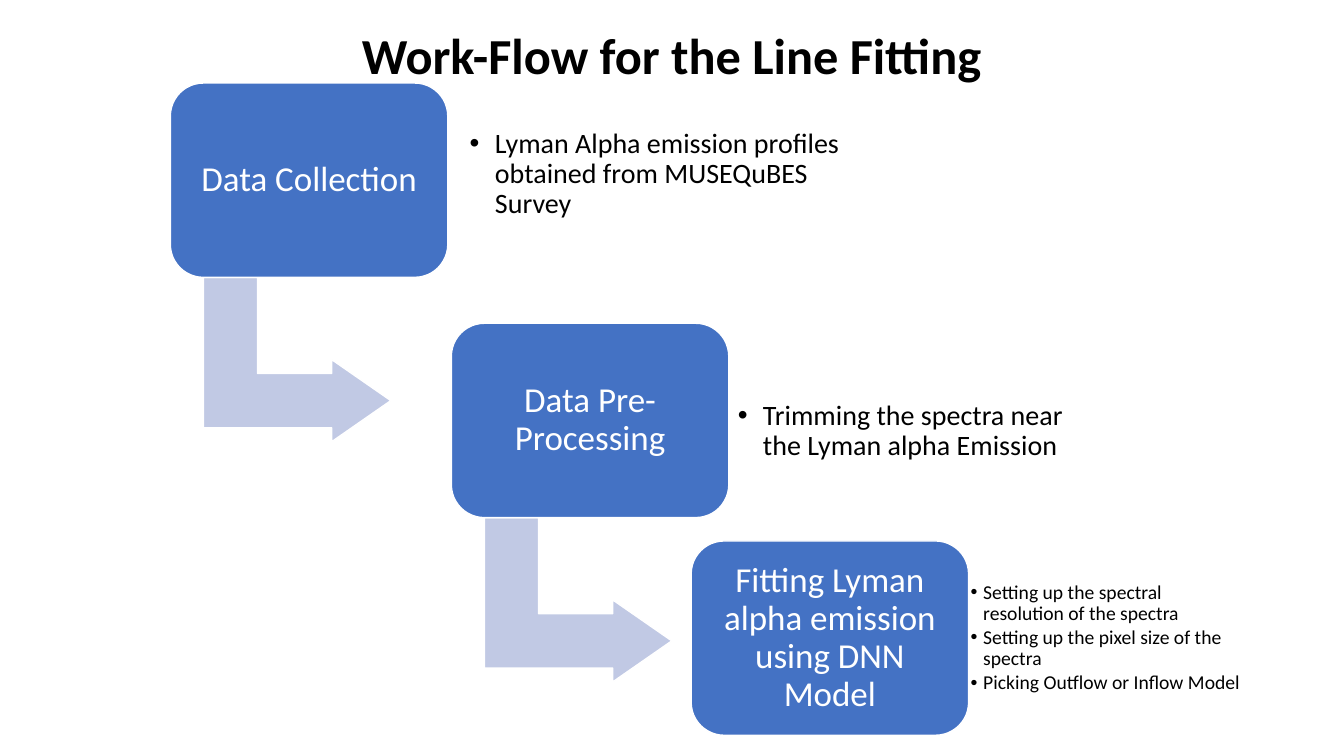
from pptx import Presentation
from pptx.dml.color import RGBColor
from pptx.enum import shapes, text
from pptx.oxml import xmlchemy
from pptx.util import Pt

BLUE = RGBColor(0x44, 0x72, 0xC4)
LAVENDER = RGBColor(0xC1, 0xC9, 0xE4)
WHITE = RGBColor(0xFF, 0xFF, 0xFF)
BLACK = RGBColor(0, 0, 0)
FONT = "Calibri"

TITLE = "Work-Flow for the Line Fitting"
STEPS = [
    dict(name="Data Collection", corner=(121.7, 59.3),
         notes=["Lyman Alpha emission profiles obtained from MUSEQuBES Survey"],
         notes_area=(328.3, 68.4, 291.6, 112.3), size=20, indent=18, inset=7.2),
    dict(name="Data Pre-Processing", corner=(322.4, 230.9),
         notes=["Trimming the spectra near the Lyman alpha Emission"],
         notes_area=(519.8, 252, 270, 112.3), size=20, indent=18, inset=7.2),
    dict(name="Fitting Lyman alpha emission using DNN Model", corner=(493.7, 386.4),
         notes=["Setting up the spectral resolution of the spectra",
                "Setting up the pixel size of the spectra",
                "Picking Outflow or Inflow Model"],
         notes_area=(688.3, 399.6, 206.6, 112.3), size=14, indent=9, inset=5),
]
BOX_SIZE = (198.2, 138.8)
ARROW_OFFSET = (31.8, 130.6)
ARROW_SIZE = (117.4, 133.9)


def place(shape, left, top, width, height):
    shape.left, shape.top = Pt(left), Pt(top)
    shape.width, shape.height = Pt(width), Pt(height)


def set_frame(shape, inset):
    frame = shape.text_frame
    frame.word_wrap = True
    frame.auto_size = text.MSO_AUTO_SIZE.NONE
    frame.vertical_anchor = text.MSO_ANCHOR.MIDDLE
    frame.margin_left = frame.margin_right = Pt(inset)
    frame.margin_top = frame.margin_bottom = Pt(inset)
    return frame


def style(para, size, color, align, bold=False, spacing=0.9):
    para.alignment = align
    para.line_spacing = spacing
    para.space_before = Pt(0)
    para.font.name = FONT
    para.font.size = Pt(size)
    para.font.bold = bold
    para.font.color.rgb = color


def add_bullet(para, indent):
    props = para._p.get_or_add_pPr()
    props.set("marL", str(Pt(indent)))
    props.set("indent", str(-Pt(indent)))
    bullet = xmlchemy.OxmlElement("a:buChar")
    bullet.set("char", "•")
    props.insert_element_before(bullet, "a:tabLst", "a:defRPr", "a:extLst")


def add_block(page, kind, corner, size, color, adjustments):
    block = page.shapes.add_shape(kind, *(Pt(v) for v in (*corner, *size)))
    block.shadow.inherit = False
    block.fill.solid()
    block.fill.fore_color.rgb = color
    block.line.color.rgb = WHITE
    block.line.width = Pt(1)
    for index, value in enumerate(adjustments):
        block.adjustments[index] = value
    return block


def add_arrow(page, corner):
    start = [c + d for c, d in zip(corner, ARROW_OFFSET)]
    arrow = add_block(page, shapes.MSO_SHAPE.BENT_UP_ARROW, start, ARROW_SIZE,
                      LAVENDER, (0.33, 0.25, 0.36))
    arrow.rotation = 90


def add_step(page, step):
    box = add_block(page, shapes.MSO_SHAPE.ROUNDED_RECTANGLE, step["corner"],
                    BOX_SIZE, BLUE, (0.17,))
    para = set_frame(box, 7.2).paragraphs[0]
    para.text = step["name"]
    style(para, 25, WHITE, text.PP_ALIGN.CENTER)


def fill_notes(holder, step):
    place(holder, *step["notes_area"])
    frame = set_frame(holder, step["inset"])
    frame.text = "\n".join(step["notes"])
    for para in frame.paragraphs:
        style(para, step["size"], BLACK, text.PP_ALIGN.LEFT)
        para.space_after = Pt(step["size"] * 0.15)
        add_bullet(para, step["indent"])


def main():
    deck = Presentation()
    deck.slide_width, deck.slide_height = Pt(960), Pt(540)
    page = deck.slides.add_slide(deck.slide_layouts.get_by_name("Comparison"))

    title = page.shapes.title
    place(title, 90.7, 13, 778.3, 51)
    frame = set_frame(title, 3.6)
    frame.text = TITLE
    style(frame.paragraphs[0], 36, BLACK, text.PP_ALIGN.CENTER, True, 1.0)

    holders = [h for h in page.placeholders if h.placeholder_format.idx in (1, 2, 3, 4)]
    for holder, step in zip(holders, STEPS):
        fill_notes(holder, step)
    for spare in holders[len(STEPS):]:
        spare.element.getparent().remove(spare.element)

    for step in STEPS[:-1]:
        add_arrow(page, step["corner"])
    for step in STEPS:
        add_step(page, step)

    deck.save("out.pptx")


if __name__ == "__main__":
    main()
